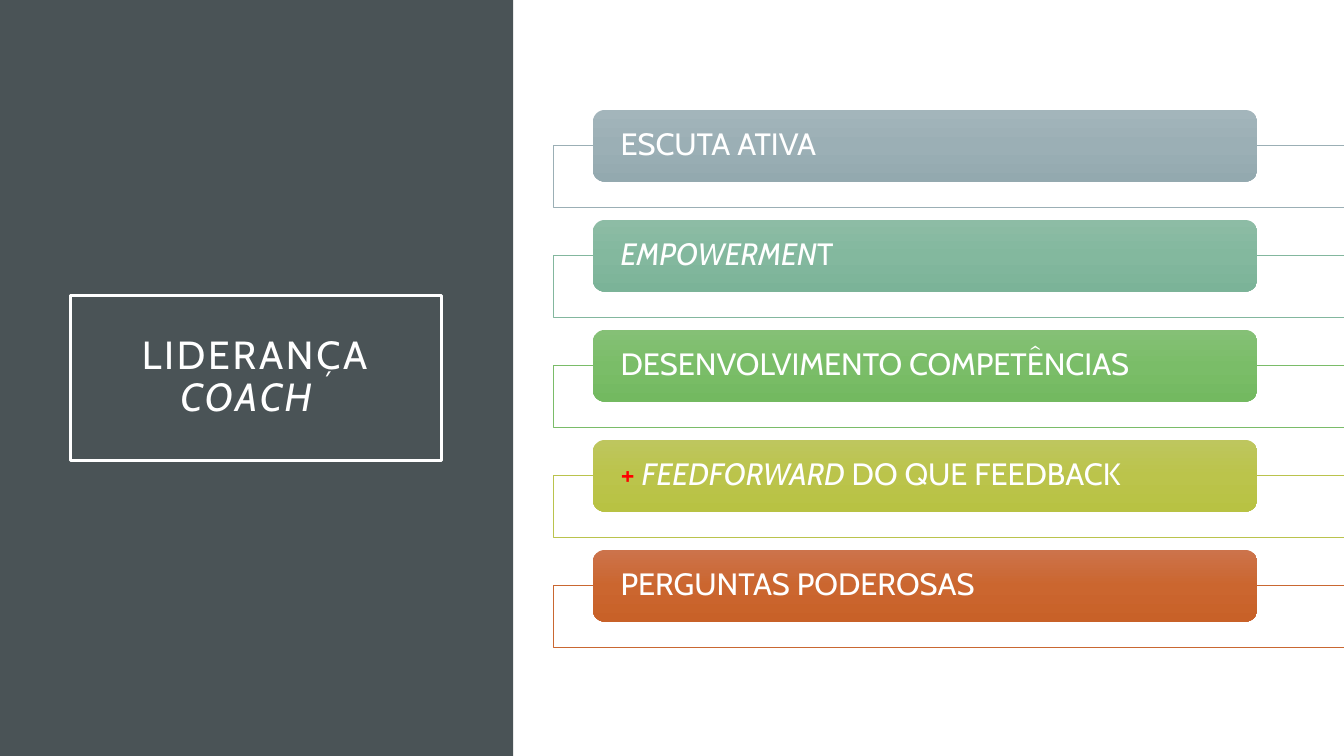
from copy import deepcopy
from dataclasses import dataclass

from lxml import etree
from pptx import Presentation
from pptx import util as u
from pptx.dml.color import RGBColor
from pptx.enum import shapes, text
from pptx.oxml.ns import qn

W, H = u.Inches(13.33), u.Inches(7.5)
KIND = shapes.MSO_SHAPE


@dataclass(frozen=True)
class Theme:
    font: str = "Cabin"
    panel: str = "4A5356"
    white: str = "FFFFFF"
    accent: str = "FF0000"
    title_size: int = 28
    bar_size: int = 22
    title_line: float = 2.5
    frame_line: float = 0.5


@dataclass(frozen=True)
class Box:
    """Left, top, width and height in percent of the slide."""
    x: float
    y: float
    w: float
    h: float


@dataclass(frozen=True)
class Run:
    text: str
    italic: bool = False
    color: str = Theme.white


@dataclass(frozen=True)
class Skill:
    runs: tuple[Run, ...]
    line: str
    gradient: tuple[str, str, str]


THEME = Theme()
ROW = 14.55
FRAME_DROP = 4.73
PANEL = Box(0, 0, 38.18, 100)
TITLE = Box(5.25, 39.07, 27.61, 21.87)
TITLE_RUNS = (Run("LIDERANÇA "), Run("COACH\t", italic=True))
SKILLS = (
    Skill((Run("ESCUTA ATIVA"),), "9BAFB5", ("A3B5BB", "9BAFB5", "93A9AF")),
    Skill((Run("EMPOWERMEN", italic=True), Run("T")),
          "83B79E", ("8DBCA5", "83B89E", "7BB398")),
    Skill((Run("DESENVOLVIMENTO COMPETÊNCIAS"),),
          "7ABC69", ("85C076", "7ABD68", "73B960")),
    Skill((Run("+ ", color=THEME.accent), Run("FEEDFORWARD", italic=True),
           Run(" DO QUE FEEDBACK")),
          "BAC34D", ("BEC65E", "BBC44B", "B8C243")),
    Skill((Run("PERGUNTAS PODEROSAS"),),
          "C96731", ("CC734B", "CB662F", "C86128")),
)


def rgb(value: str) -> RGBColor:
    return RGBColor.from_string(value)


def add_box(slide, kind, box: Box, fill: str | None = None,
            line: str | None = None, width: float = 0):
    sp = slide.shapes.add_shape(kind, int(W * box.x / 100), int(H * box.y / 100),
                                int(W * box.w / 100), int(H * box.h / 100))
    sp.shadow.inherit = False
    if fill:
        sp.fill.solid()
        sp.fill.fore_color.rgb = rgb(fill)
    else:
        sp.fill.background()
    if line:
        sp.line.color.rgb = rgb(line)
        sp.line.width = u.Pt(width)
    else:
        sp.line.fill.background()
    return sp


def set_opacity(sp, percent: int) -> None:
    color = sp._element.spPr.find(qn("a:solidFill"))[0]
    etree.SubElement(color, qn("a:alpha")).set("val", str(percent * 1000))


def set_gradient(sp, colors: tuple[str, ...]) -> None:
    """Spread the colours evenly from top to bottom."""
    sp.fill.gradient()
    sp.fill.gradient_angle = 270
    stops = sp._element.spPr.find(qn("a:gradFill")).find(qn("a:gsLst"))
    while len(stops) < len(colors):
        stops.append(deepcopy(stops[-1]))
    for i, (stop, color) in enumerate(zip(sp.fill.gradient_stops, colors)):
        stop.position = i / (len(colors) - 1)
        stop.color.rgb = rgb(color)


def write(sp, runs: tuple[Run, ...], size: int, align, insets: tuple[float, float],
          spacing: int = 0) -> None:
    """Fill a shape with one paragraph; insets are across and down, in inches."""
    tf = sp.text_frame
    across, down = map(u.Inches, insets)
    frame_format = {"word_wrap": True, "vertical_anchor": text.MSO_ANCHOR.MIDDLE,
                    "margin_left": across, "margin_right": across,
                    "margin_top": down, "margin_bottom": down}
    for name, value in frame_format.items():
        setattr(tf, name, value)
    p = tf.paragraphs[0]
    p.alignment = align
    p.line_spacing = 0.9
    for run in runs:
        r = p.add_run()
        r.text = run.text
        run_format = {"name": THEME.font, "size": u.Pt(size), "italic": run.italic}
        for name, value in run_format.items():
            setattr(r.font, name, value)
        r.font.color.rgb = rgb(run.color)
        if spacing:
            r._r.get_or_add_rPr().set("spc", str(spacing * 100))


def add_skill(slide, skill: Skill, top: float) -> None:
    frame = add_box(slide, KIND.RECTANGLE, Box(41.19, top + FRAME_DROP, 58.85, 8.13),
                    THEME.white, skill.line, THEME.frame_line)
    set_opacity(frame, 90)
    bar = add_box(slide, KIND.ROUNDED_RECTANGLE, Box(44.11, top, 49.44, 9.47))
    set_gradient(bar, skill.gradient)
    write(bar, skill.runs, THEME.bar_size, text.PP_ALIGN.LEFT, (0.24, 0))


def main() -> None:
    prs = Presentation()
    prs.slide_width, prs.slide_height = W, H
    slide = prs.slides.add_slide(prs.slide_layouts[6])
    add_box(slide, KIND.RECTANGLE, PANEL, THEME.panel)
    title = add_box(slide, KIND.RECTANGLE, TITLE, line=THEME.white,
                    width=THEME.title_line)
    write(title, TITLE_RUNS, THEME.title_size, text.PP_ALIGN.CENTER, (0.2, 0.2),
          spacing=2)
    for row, skill in enumerate(SKILLS, start=1):
        add_skill(slide, skill, row * ROW)
    prs.save("out.pptx")


if __name__ == "__main__":
    main()
